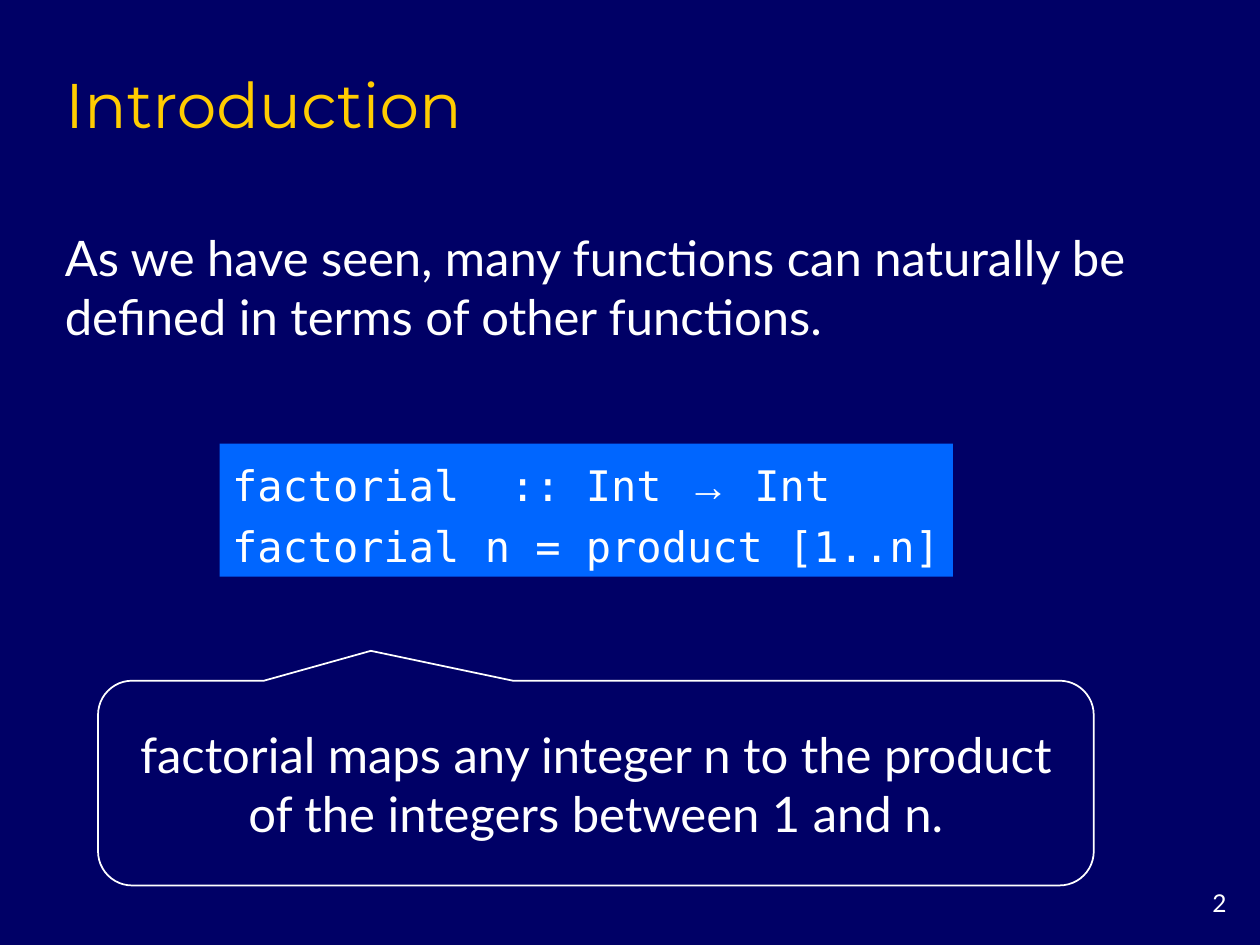
from pptx import Presentation
from pptx import util as u
from pptx.dml.color import RGBColor
from pptx.enum import shapes, text

Pt = u.Pt
WHITE, GOLD, BLUE, NAVY = "FFFFFF", "FFCC00", "0066FF", "000066"
PROSE = {"name": "Lato", "size": Pt(28)}
CODE = {"name": "DejaVu Sans Mono", "size": Pt(24)}
ARROW = {"name": "Arial", "size": Pt(24)}


def color(value):
    """Turn a hex string into a colour."""
    return RGBColor.from_string(value)


def set_attrs(obj, values):
    """Set each attribute of obj named in values."""
    for name, value in values.items():
        setattr(obj, name, value)


def place(sp, box):
    """Move and size a shape to a box given in points."""
    names = ("left", "top", "width", "height")
    set_attrs(sp, dict(zip(names, map(Pt, box))))


def write(sp, lines, hex_color=WHITE, align=text.PP_ALIGN.LEFT,
          spacing=None, **frame):
    """Fill a shape with lines, each a list of (wording, font) runs."""
    tf = sp.text_frame
    set_attrs(tf, {"word_wrap": True, "auto_size": text.MSO_AUTO_SIZE.NONE,
                   "vertical_anchor": text.MSO_ANCHOR.MIDDLE, **frame})
    for i, runs in enumerate(lines):
        p = tf.add_paragraph() if i else tf.paragraphs[0]
        set_attrs(p, {"alignment": align, "line_spacing": spacing,
                      "space_before": Pt(0)})
        for wording, font in runs:
            r = p.add_run()
            r.text = wording
            set_attrs(r.font, font)
            r.font.color.rgb = color(hex_color)


def add_title(s, box, wording):
    """Format the title placeholder."""
    place(s.shapes.title, box)
    write(s.shapes.title, [[(wording, {"name": "Montserrat", "size": Pt(36)})]],
          GOLD, vertical_anchor=text.MSO_ANCHOR.BOTTOM)


def add_text(s, box, wording, font, **options):
    """Add a box of plain text."""
    write(s.shapes.add_textbox(*map(Pt, box)), [[(wording, font)]], **options)


def add_code(s, box, lines):
    """Add a filled panel of code."""
    sp = s.shapes.add_shape(shapes.MSO_SHAPE.RECTANGLE, *map(Pt, box))
    sp.shadow.inherit = False
    sp.fill.solid()
    sp.fill.fore_color.rgb = color(BLUE)
    sp.line.fill.background()
    write(sp, lines, spacing=1.2, word_wrap=False)


def add_callout(s, box, wording):
    """Add an outlined callout pointing up at the code."""
    sp = s.shapes.add_shape(shapes.MSO_SHAPE.ROUNDED_RECTANGULAR_CALLOUT,
                            *map(Pt, box))
    sp.shadow.inherit = False
    for i, value in enumerate((-0.226, -0.646, 0.167)):
        sp.adjustments[i] = value
    sp.fill.background()
    sp.line.color.rgb = color(WHITE)
    sp.line.width = Pt(1)
    write(sp, [[(wording, PROSE)]], align=text.PP_ALIGN.CENTER)


def main():
    """Build and save the slide."""
    prs = Presentation()
    set_attrs(prs, {"slide_width": Pt(720), "slide_height": Pt(540)})
    s = prs.slides.add_slide(prs.slide_layouts[5])
    s.background.fill.solid()
    s.background.fill.fore_color.rgb = color(NAVY)
    add_title(s, (30, 30, 612, 54), "Introduction")
    add_text(s, (30, 126, 659, 75),
             "As we have seen, many functions can naturally be defined "
             "in terms of other functions.", PROSE)
    add_code(s, (125.5, 253.5, 419, 76), [
        [("factorial  :: Int ", CODE), ("→", ARROW), (" Int", CODE)],
        [("factorial n = product [1..n]", CODE)],
    ])
    add_callout(s, (56, 389, 569, 117),
                "factorial maps any integer n to the product of the "
                "integers between 1 and n.")
    add_text(s, (660, 504, 48, 24), "2", {"name": "Lato", "size": Pt(14)},
             align=text.PP_ALIGN.RIGHT, vertical_anchor=text.MSO_ANCHOR.TOP)
    prs.save("out.pptx")


if __name__ == "__main__":
    main()
